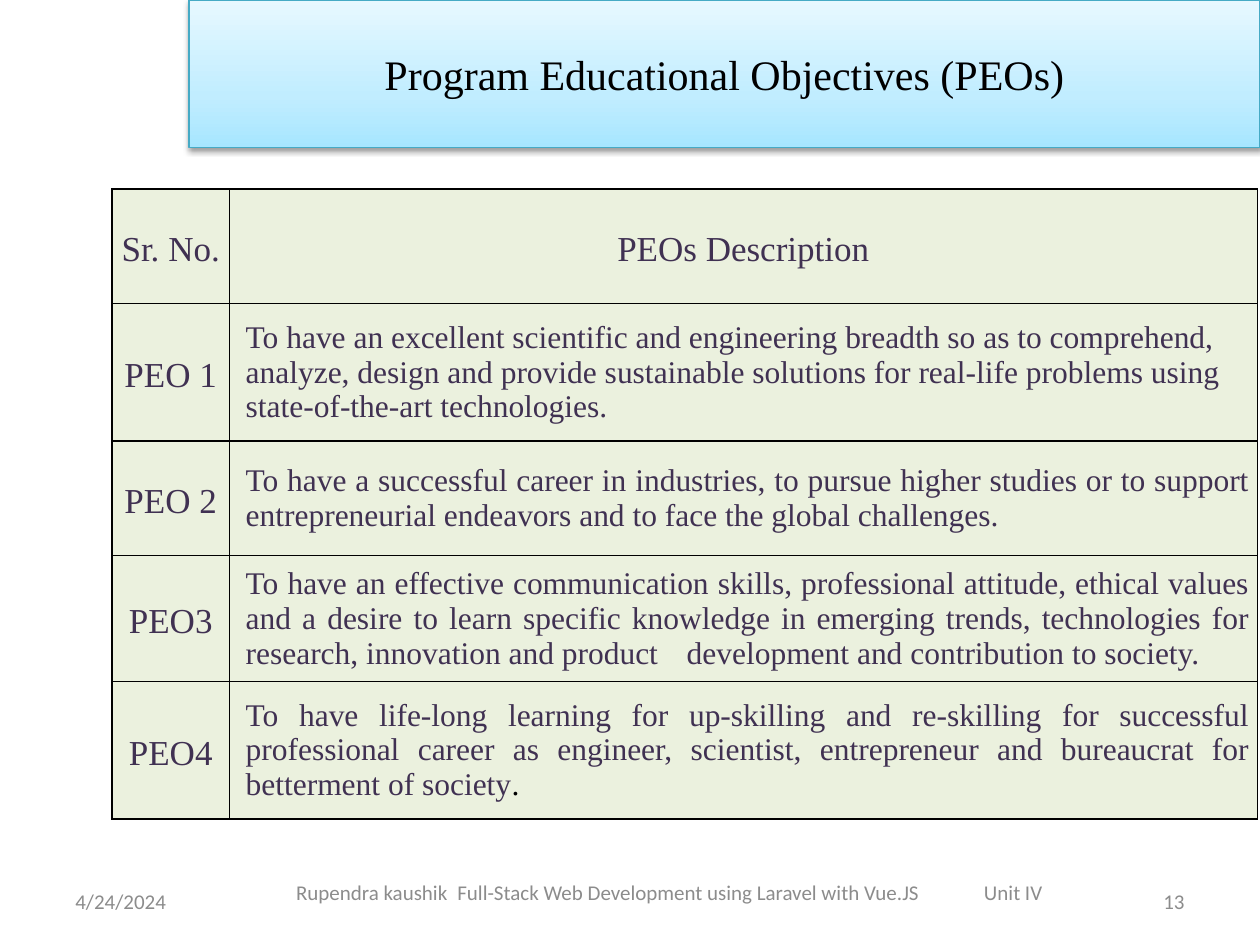
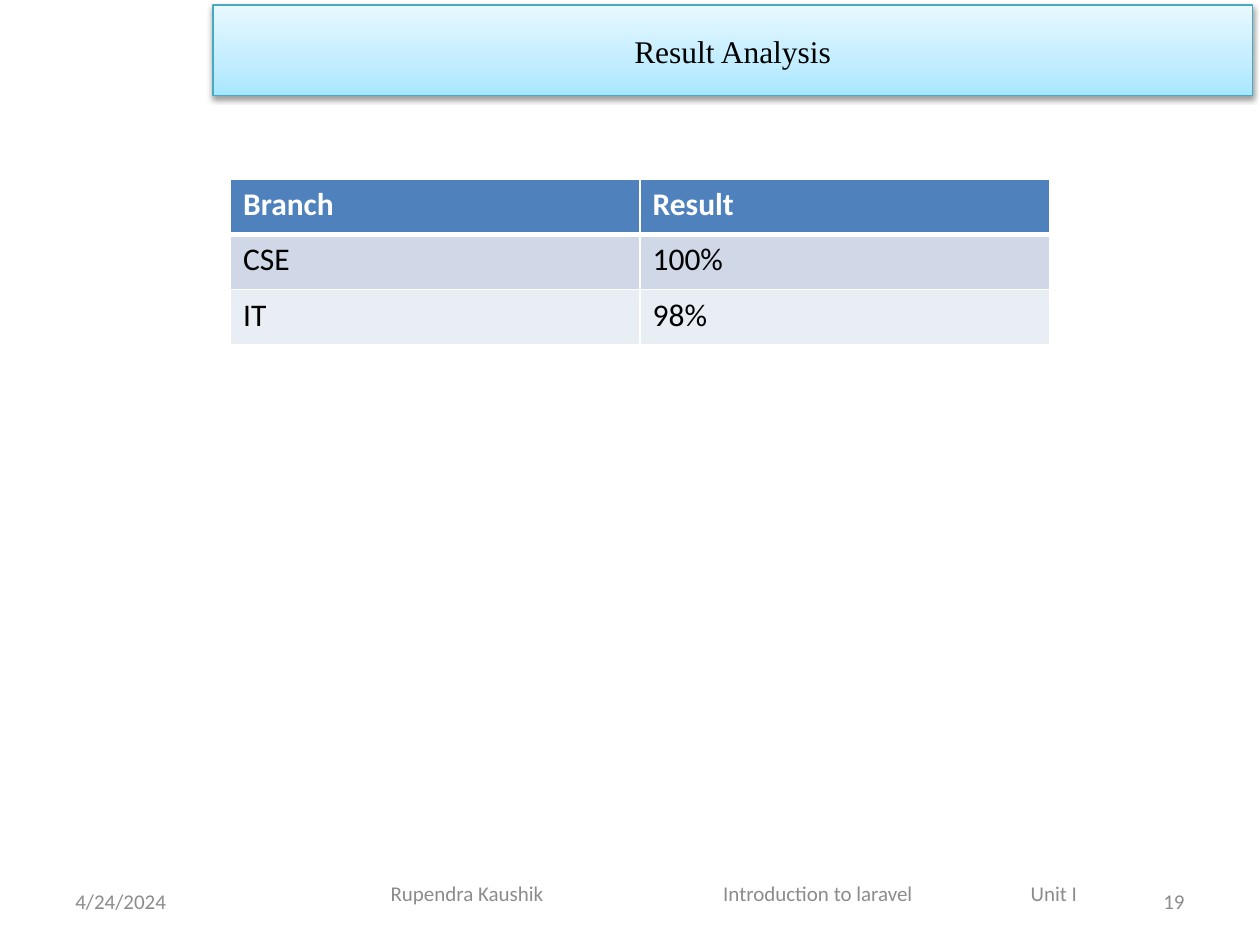
import pptx
import pptx.dml.color
import pptx.enum.shapes
import pptx.enum.text
import pptx.oxml
import pptx.oxml.ns
import pptx.util
from lxml import etree

Inches = pptx.util.Inches
Pt = pptx.util.Pt
qn = pptx.oxml.ns.qn
ALIGN = pptx.enum.text.PP_ALIGN
MIDDLE = pptx.enum.text.MSO_ANCHOR.MIDDLE

HUES = {
    "ink": "000000", "white": "FFFFFF", "grey": "8C8C8C", "plum": "403152",
    "cream": "EBF1DE", "edge": "46AAC5", "low": "A7E6FF", "mid": "C1EDFF",
    "high": "E7F8FF", "head": "4F81BD", "odd": "D0D8E8", "even": "E9EDF4",
}
SERIF, SANS = "Times New Roman", "Calibri"
FOOT = {"name": SANS, "size": Pt(12), "hue": "grey"}
LABEL = {"name": SERIF, "size": Pt(20), "hue": "plum"}
BODY = {**LABEL, "size": Pt(18)}
GRID = {"name": SANS, "size": Pt(18), "hue": "ink"}
CENTRE = {"alignment": ALIGN.CENTER}
LOOSE = {**CENTRE, "line_spacing": 1.15}
JUST = {"alignment": ALIGN.JUSTIFY}
LEFT = {"alignment": ALIGN.LEFT}
SNUG = {
    "vertical_anchor": MIDDLE, "margin_left": Inches(0.06),
    "margin_right": Inches(0.06), "margin_top": 0, "margin_bottom": 0,
}

GOALS = [
    ("PEO 1", "To have an excellent scientific and engineering breadth so as to comprehend, analyze, design and provide sustainable solutions for real-life problems using state-of-the-art technologies.", LEFT),
    ("PEO 2", "To have a successful career in industries, to pursue higher studies or to support entrepreneurial endeavors and to face the global challenges.", JUST),
    ("PEO3", "To have an effective communication skills, professional attitude, ethical values and a desire to learn specific knowledge in emerging trends, technologies for research, innovation and product\tdevelopment and contribution to society.", JUST),
    ("PEO4", "To have life-long learning for up-skilling and re-skilling for successful professional career as engineer, scientist, entrepreneur and bureaucrat for betterment of society", JUST),
]


def tint(name):
    return pptx.dml.color.RGBColor.from_string(HUES[name])


def apply(item, looks):
    for key, value in looks.items():
        setattr(item, key, value)


def add_run(para, text, look):
    run = para.add_run()
    run.text = text
    apply(run.font, {key: val for key, val in look.items() if key != "hue"})
    run.font.color.rgb = tint(look["hue"])


def write(frame, text, look, form, stops=(), indent=0):
    para = frame.paragraphs[0]
    apply(para, form)
    props = para._p.get_or_add_pPr()
    if indent:
        props.set("marL", str(Inches(indent)))
        props.set("indent", "0")
    if stops:
        tabs = etree.SubElement(props, qn("a:tabLst"))
        for stop in stops:
            etree.SubElement(tabs, qn("a:tab"), pos=str(Inches(stop)), algn="l")
    add_run(para, text, look)
    return para


def add_text(slide, place, text, form, inset=0.1, stops=()):
    frame = slide.shapes.add_textbox(*map(Inches, place)).text_frame
    apply(frame, {
        "word_wrap": True, "vertical_anchor": MIDDLE, "margin_left": Inches(inset),
    })
    write(frame, text, FOOT, form, stops)


def add_foot(slide, number, place, text, inset, stops):
    add_text(slide, (0.5, 6.95, 2.33, 0.4), "4/24/2024", LEFT)
    add_text(slide, (7.17, 6.95, 2.33, 0.4), number, {"alignment": ALIGN.RIGHT})
    add_text(slide, place, text, LEFT, inset, stops)


def add_hue(parent, name, alpha=None):
    node = etree.SubElement(parent, qn("a:srgbClr"), val=HUES[name])
    if alpha:
        etree.SubElement(node, qn("a:alpha"), val=str(alpha * 1000))


def add_band(slide, place, text, size):
    kind = pptx.enum.shapes.MSO_SHAPE.RECTANGLE
    band = slide.shapes.add_shape(kind, *map(Inches, place))
    band.fill.gradient()
    band.fill.gradient_angle = 90
    band.line.color.rgb = tint("edge")
    band.line.width = Pt(0.75)
    band.shadow.inherit = False
    props = band._element.spPr
    stops = props.find(".//" + qn("a:gsLst"))
    for stop in list(stops):
        stops.remove(stop)
    for spot, name in ((0, "low"), (35, "mid"), (100, "high")):
        add_hue(etree.SubElement(stops, qn("a:gs"), pos=str(spot * 1000)), name)
    shade = etree.SubElement(
        props.find(qn("a:effectLst")), qn("a:outerShdw"), blurRad=str(Pt(3.1)),
        dist=str(Pt(1.6)), dir="5400000", rotWithShape="0")
    add_hue(shade, "ink", 38)
    frame = band.text_frame
    apply(frame, {"word_wrap": True, "vertical_anchor": MIDDLE})
    write(frame, text, {"name": SERIF, "size": Pt(size), "hue": "ink"}, CENTRE)


def add_grid(slide, place, cols, rows):
    shape = slide.shapes.add_table(len(rows), len(cols), *map(Inches, place))
    table = shape.table
    apply(table, {"first_row": False, "horz_banding": False})
    for col, width in zip(table.columns, cols):
        col.width = Inches(width)
    for row, height in zip(table.rows, rows):
        row.height = Inches(height)
    return table


def paint(cell, fill, edge, widths=(1, 1, 1, 1)):
    cell.fill.solid()
    cell.fill.fore_color.rgb = tint(fill)
    props = cell._tc.get_or_add_tcPr()
    for spot, (side, width) in enumerate(zip("LRTB", widths)):
        line = etree.Element(qn("a:ln" + side), w=str(Pt(width)))
        add_hue(etree.SubElement(line, qn("a:solidFill")), edge)
        props.insert(spot, line)


def add_goals(slide):
    table = add_grid(slide, (0.89, 1.5, 9.08, 5.01), (0.93, 8.16),
                     (0.91, 1.09, 0.91, 1, 1.09))
    for cell in table.iter_cells():
        apply(cell, SNUG)
        paint(cell, "cream", "ink")
    for col, text in enumerate(("Sr. No.", "PEOs Description")):
        write(table.cell(0, col).text_frame, text, LABEL, LOOSE)
    for row, (label, text, form) in enumerate(GOALS, 1):
        write(table.cell(row, 0).text_frame, label, LABEL, LOOSE)
        stops = (3.55,) if "\t" in text else ()
        para = write(table.cell(row, 1).text_frame, text, BODY, form, stops, 0.07)
    add_run(para, ".", {**BODY, "hue": "ink"})


def add_marks(slide):
    marks = (("Branch", "Result"), ("CSE", "100%"), ("IT", "98%"))
    table = add_grid(slide, (1.83, 1.42, 6.5, 1.33), (3.25,) * 2, (0.44,) * 3)
    for row, (pair, fill) in enumerate(zip(marks, ("head", "odd", "even"))):
        look = GRID if row else {**GRID, "hue": "white", "bold": True}
        widths = ((1, 1, 1, 3), (1, 1, 3, 1), (1, 1, 1, 1))[row]
        for col, text in enumerate(pair):
            cell = table.cell(row, col)
            paint(cell, fill, "white", widths)
            write(cell.text_frame, text, look, LEFT)


def main():
    deck = pptx.Presentation()
    deck.slide_width, deck.slide_height = Inches(10), Inches(7.5)
    blank = deck.slide_layouts[6]

    slide = deck.slides.add_slide(blank)
    add_band(slide, (1.5, 0, 8.5, 1.17), "Program Educational Objectives (PEOs)", 24)
    add_goals(slide)
    add_foot(slide, "13", (2.08, 6.88, 6.5, 0.4),
             "Rupendra kaushik\tFull-Stack Web Development using Laravel with Vue.JS\tUnit IV",
             0.27, (1.28, 5.46))

    slide = deck.slides.add_slide(blank)
    add_band(slide, (1.69, 0.04, 8.25, 0.72), "Result Analysis", 18)
    add_marks(slide)
    add_foot(slide, "19", (2.75, 6.94, 6.17, 0.3),
             "Rupendra Kaushik\tIntroduction to laravel\tUnit I", 0.35, (2.64, 5.08))

    deck.save("out.pptx")


if __name__ == "__main__":
    main()
